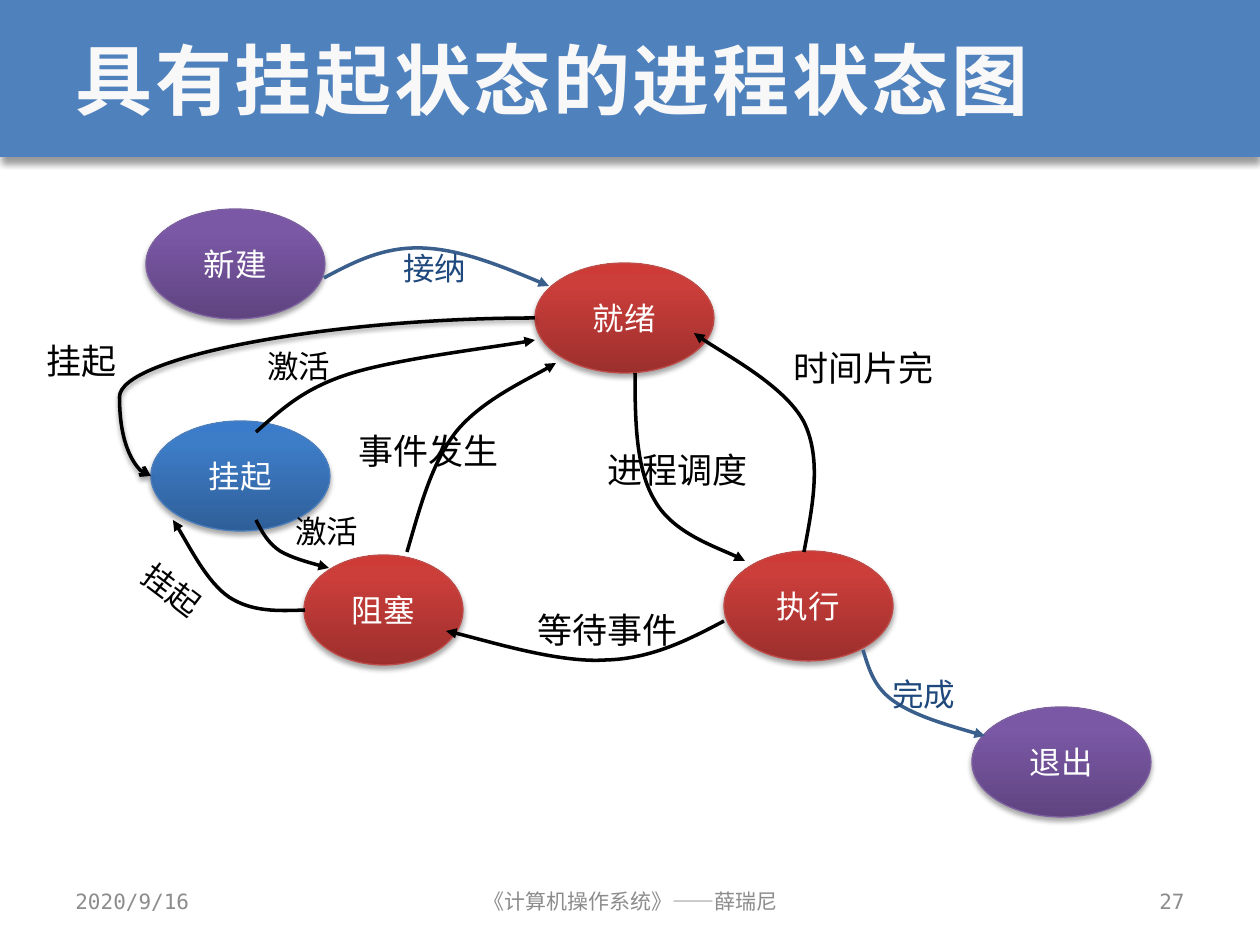
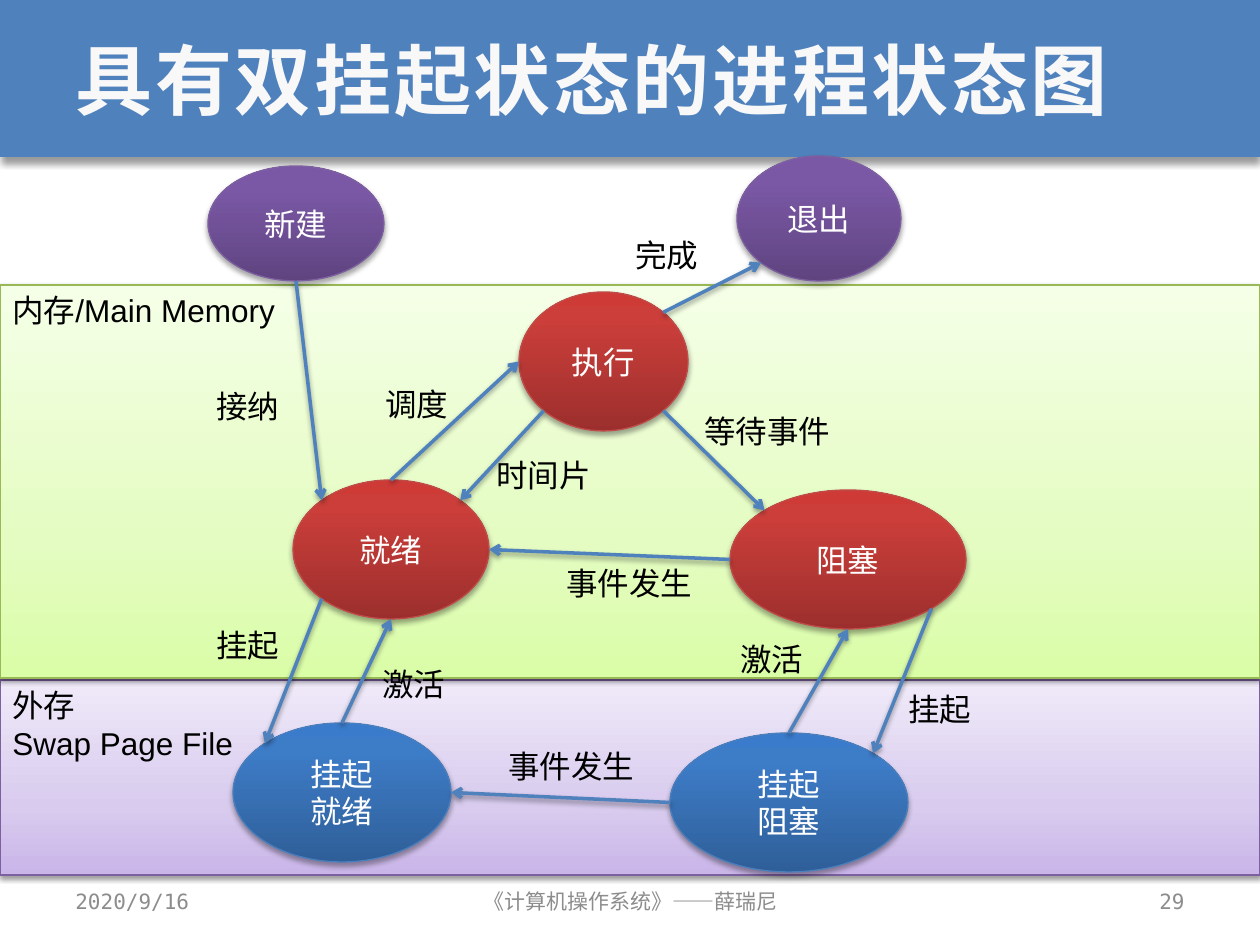
from math import cos, pi, sin

from lxml.etree import SubElement
from pptx import Presentation
from pptx.dml.color import RGBColor as RGB
from pptx.enum.shapes import MSO_CONNECTOR as LINK, MSO_SHAPE as FORM
from pptx.enum.text import MSO_ANCHOR as ANCHOR, PP_ALIGN as ALIGN
from pptx.oxml.ns import qn
from pptx.util import Emu, Pt

SCALE = 914400 / 126
MONO, SANS, HAN = "DejaVu Sans Mono", "Arial", "Noto Sans CJK SC"
BLACK, WHITE = RGB(0, 0, 0), RGB(255, 255, 255)
PALE, GRAY = RGB(0xF8, 0xF8, 0xF8), RGB(0x8C, 0x8C, 0x8C)
BLUE, NAVY, STEEL = RGB(0x4F, 0x81, 0xBD), RGB(0x1F, 0x49, 0x7D), RGB(0x3A, 0x5F, 0x8C)

RED_EDGE, PLUM_EDGE = RGB(0xBF, 0x4C, 0x48), RGB(0x7D, 0x60, 0xA0)
SKY_EDGE, LIME_EDGE = RGB(0x4B, 0x7E, 0xBC), RGB(0x98, 0xB9, 0x55)
RED = RED_EDGE, ((0, RGB(0x9C, 0x2F, 0x2D)), (80, RGB(0xCB, 0x3E, 0x3A)), (100, RGB(0xCE, 0x3B, 0x37)))
PLUM = PLUM_EDGE, ((0, RGB(0x5F, 0x44, 0x80)), (80, RGB(0x7B, 0x58, 0xA6)), (100, RGB(0x7C, 0x57, 0xA8)))
SKY = SKY_EDGE, ((0, RGB(0x2F, 0x5F, 0x99)), (80, RGB(0x3D, 0x7C, 0xC7)), (100, RGB(0x3A, 0x7C, 0xCB)))
LILAC = PLUM_EDGE, ((0, RGB(0xC9, 0xB5, 0xE8)), (35, RGB(0xD8, 0xCB, 0xEE)), (100, RGB(0xF0, 0xEA, 0xF9)))
LIME = LIME_EDGE, ((0, RGB(0xDA, 0xFD, 0xA7)), (35, RGB(0xE4, 0xFC, 0xC2)), (100, RGB(0xF5, 0xFF, 0xE7)))

TOP, TOP_LEFT, LEFT, LOW_LEFT, LOW, LOW_RIGHT, RIGHT, TOP_RIGHT = range(8)


def px(num):
    return Emu(round(num * SCALE))


def box(*nums):
    return [px(num) for num in nums]


def tag(parent, kind, **attrs):
    return SubElement(parent, qn("a:" + kind), {key: str(val) for key, val in attrs.items()})


def write(frame, text, size, color, face, align=ALIGN.LEFT, anchor=ANCHOR.TOP, wrap=True, bold=False, gap=0):
    frame.text = text
    frame.word_wrap = wrap
    frame.vertical_anchor = anchor
    for para in frame.paragraphs:
        para.alignment = align
        font = para.font
        font.size, font.name, font.bold = Pt(size), face, bold
        font.color.rgb = color
        props = para._p.pPr.find(qn("a:defRPr"))
        tag(props, "ea", typeface=HAN)
        if gap:
            props.set("spc", str(gap))


def shade(shape, alpha, blur, dist):
    props = shape._element.spPr
    effects = props.find(qn("a:effectLst"))
    if effects is None:
        effects = tag(props, "effectLst")
    cast = tag(effects, "outerShdw", blurRad=Pt(blur), dist=Pt(dist), dir=5400000, rotWithShape=0)
    tag(tag(cast, "srgbClr", val="000000"), "alpha", val=alpha * 1000)


def tint(shape, style):
    edge, stops = style
    shape.fill.gradient()
    shape.fill.gradient_angle = 90
    ramp = shape._element.spPr.find(".//" + qn("a:gsLst"))
    ramp.clear()
    for place, color in stops:
        tag(tag(ramp, "gs", pos=place * 1000), "srgbClr", val=color)
    shape.line.color.rgb = edge
    shape.line.width = Pt(0.75)


def solid(slide, form, spot, shadow):
    shape = slide.shapes.add_shape(form, *box(*spot))
    shape.shadow.inherit = False
    shade(shape, *shadow)
    return shape


def node(slide, text, spot, style):
    shape = solid(slide, FORM.OVAL, spot, (35, 3.1, 1.8))
    tint(shape, style)
    write(shape.text_frame, text, 18, WHITE, HAN, ALIGN.CENTER, ANCHOR.MIDDLE, wrap=False)
    return shape


def zone(slide, text, top, high, style):
    shape = solid(slide, FORM.RECTANGLE, (0, top, 1260, high), (38, 3.1, 1.6))
    tint(shape, style)
    write(shape.text_frame, text, 18, BLACK, SANS)


def label(slide, text, left, top, wide, size=18, color=BLACK, face=HAN, turn=0):
    shape = slide.shapes.add_textbox(*box(left, top, wide, 50 if size == 18 else 55))
    shape.rotation = turn
    write(shape.text_frame, text, size, color, face)


def stroke(shape, color, head):
    shape.line.color.rgb = color
    shape.line.width = Pt(2)
    tag(shape._element.spPr.find(qn("a:ln")), "tailEnd", type=head)


def curve(slide, start, points, color=BLACK):
    draft = slide.shapes.build_freeform(*start, scale=SCALE)
    draft.add_line_segments(points, close=False)
    shape = draft.convert_to_shape()
    shape.shadow.inherit = False
    shape.fill.background()
    stroke(shape, color, "triangle")
    track = shape._element.spPr.find(".//" + qn("a:path"))
    steps = track.findall(qn("a:lnTo"))
    for pos in range(0, len(steps), 3):
        bend = tag(track, "cubicBezTo")
        for step in steps[pos:pos + 3]:
            bend.append(step[0])
            track.remove(step)


def wire(slide, kind, start, end, color):
    line = slide.shapes.add_connector(kind, *start, *end)
    stroke(line, color, "arrow")
    shade(line, 38, 3.1, 1.6)
    return line


def site(shape, index):
    turn = index * pi / 4
    x = shape.left + shape.width / 2 * (1 - sin(turn))
    y = shape.top + shape.height / 2 * (1 - cos(turn))
    return Emu(round(x)), Emu(round(y))


def link(slide, first, out, last, into):
    line = wire(slide, LINK.STRAIGHT, site(first, out), site(last, into), BLUE)
    ends = line._element.nvCxnSpPr.cNvCxnSpPr
    for kind, shape, index in (("stCxn", first, out), ("endCxn", last, into)):
        tag(ends, kind, id=shape.shape_id, idx=index)


def base(deck, title, number):
    slide = deck.slides.add_slide(deck.slide_layouts[5])
    band = solid(slide, FORM.RECTANGLE, (0, 0, 1260, 157), (40, 4, 3))
    band.fill.solid()
    band.fill.fore_color.rgb = BLUE
    band.line.fill.background()
    slide.shapes._spTree.insert(2, band._element)
    head = slide.shapes.title
    head.left, head.top, head.width, head.height = box(63, 0, 1134, 157)
    write(head.text_frame, title, 44, PALE, MONO, anchor=ANCHOR.MIDDLE, bold=True, gap=150)
    feet = (
        ("2020/9/16", 63, 294, ALIGN.LEFT),
        ("《计算机操作系统》——薛瑞尼", 431, 399, ALIGN.CENTER),
        (number, 903, 294, ALIGN.RIGHT),
    )
    for text, left, wide, align in feet:
        foot = slide.shapes.add_textbox(*box(left, 876, wide, 50))
        write(foot.text_frame, text, 12, GRAY, MONO, align, ANCHOR.MIDDLE)
    return slide


def single(deck):
    slide = base(deck, "具有挂起状态的进程状态图", "27")
    for text, left, top, wide, style in (
        ("就绪", 535, 263, 179, RED),
        ("阻塞", 304, 555, 159, RED),
        ("执行", 724, 551, 169, RED),
        ("新建", 146, 209, 179, PLUM),
        ("退出", 972, 707, 179, PLUM),
        ("挂起", 151, 421, 179, SKY),
    ):
        node(slide, text, (left, top, wide, 110), style)

    for start, *points in (
        ((407, 552), (420, 508), (431, 464), (456, 432), (481, 401), (539, 374), (556, 363)),
        ((724, 621), (688, 640), (651, 659), (605, 660), (558, 663), (472, 636), (446, 631)),
        ((635, 373), (635, 422), (636, 470), (655, 501), (673, 533), (730, 552), (745, 561)),
        ((804, 552), (813, 505), (822, 459), (804, 422), (785, 386), (713, 348), (694, 333)),
        ((256, 432), (280, 411), (302, 389), (349, 374), (396, 359), (505, 346), (535, 340)),
        ((305, 610), (278, 611), (252, 612), (229, 597), (207, 582), (183, 534), (173, 520)),
        ((256, 520), (262, 532), (268, 543), (280, 551), (292, 558), (321, 566), (329, 568)),
    ):
        curve(slide, start, points)
    curve(slide, (324, 278), ((354, 262), (383, 247), (421, 248), (459, 249), (504, 267), (549, 286)), STEEL)
    curve(slide, (863, 650), ((869, 669), (874, 688), (895, 702), (916, 716), (950, 726), (985, 736)), STEEL)

    loop = wire(slide, LINK.CURVE, box(535, 318), box(151, 476), BLACK)
    guides = loop._element.spPr.find(".//" + qn("a:avLst"))
    tag(guides, "gd", name="adj1", fmla="val 108200")

    for text, left, top, wide in (
        ("时间片完", 781, 340, 192),
        ("进程调度", 595, 442, 179),
        ("等待事件", 525, 602, 179),
        ("事件发生", 346, 423, 169),
        ("挂起", 34, 333, 105),
    ):
        label(slide, text, left, top, wide, size=20)
    label(slide, "接纳", 391, 243, 92, color=NAVY, face=SANS)
    label(slide, "完成", 880, 669, 92, color=NAVY, face=SANS)
    label(slide, "激活", 255, 341, 92)
    label(slide, "激活", 283, 506, 92, face=SANS)
    label(slide, "挂起", 128, 566, 92, turn=37)


def double(deck):
    slide = base(deck, "具有双挂起状态的进程状态图", "29")
    zone(slide, "外存\nSwap Page File", 680, 195, LILAC)
    zone(slide, "内存/Main Memory", 285, 393, LIME)

    run = node(slide, "执行", (519, 292, 169, 139), RED)
    ready = node(slide, "就绪", (293, 480, 196, 139), RED)
    block = node(slide, "阻塞", (730, 490, 236, 139), RED)
    ready_out = node(slide, "挂起\n就绪", (233, 723, 218, 139), SKY)
    block_out = node(slide, "挂起\n阻塞", (670, 733, 238, 139), SKY)
    new = node(slide, "新建", (208, 166, 176, 115), PLUM)
    done = node(slide, "退出", (737, 156, 164, 125), PLUM)

    for ends in (
        (block, LOW_RIGHT, block_out, TOP_RIGHT),
        (run, LOW_RIGHT, block, TOP_LEFT),
        (run, LOW_LEFT, ready, TOP_RIGHT),
        (ready, TOP, run, LEFT),
        (new, LOW, ready, TOP_LEFT),
        (block, LEFT, ready, RIGHT),
        (ready, LOW_LEFT, ready_out, TOP_LEFT),
        (ready_out, TOP, ready, LOW),
        (block_out, LEFT, ready_out, RIGHT),
        (block_out, TOP, block, LOW),
        (run, TOP_RIGHT, done, LOW_LEFT),
    ):
        link(slide, *ends)

    for text, left, top, wide, face in (
        ("事件发生", 554, 558, 164, SANS),
        ("挂起", 204, 620, 92, HAN),
        ("事件发生", 496, 741, 159, HAN),
        ("激活", 370, 659, 92, HAN),
        ("挂起", 896, 684, 100, HAN),
        ("等待事件", 692, 406, 158, HAN),
        ("接纳", 204, 381, 92, HAN),
        ("调度", 373, 379, 95, SANS),
        ("时间片", 484, 450, 139, SANS),
        ("激活", 728, 634, 92, HAN),
        ("完成", 623, 230, 95, SANS),
    ):
        label(slide, text, left, top, wide, face=face)


def main():
    deck = Presentation()
    deck.slide_width, deck.slide_height = box(1260, 945)
    single(deck)
    double(deck)
    deck.save("out.pptx")


if __name__ == "__main__":
    main()
